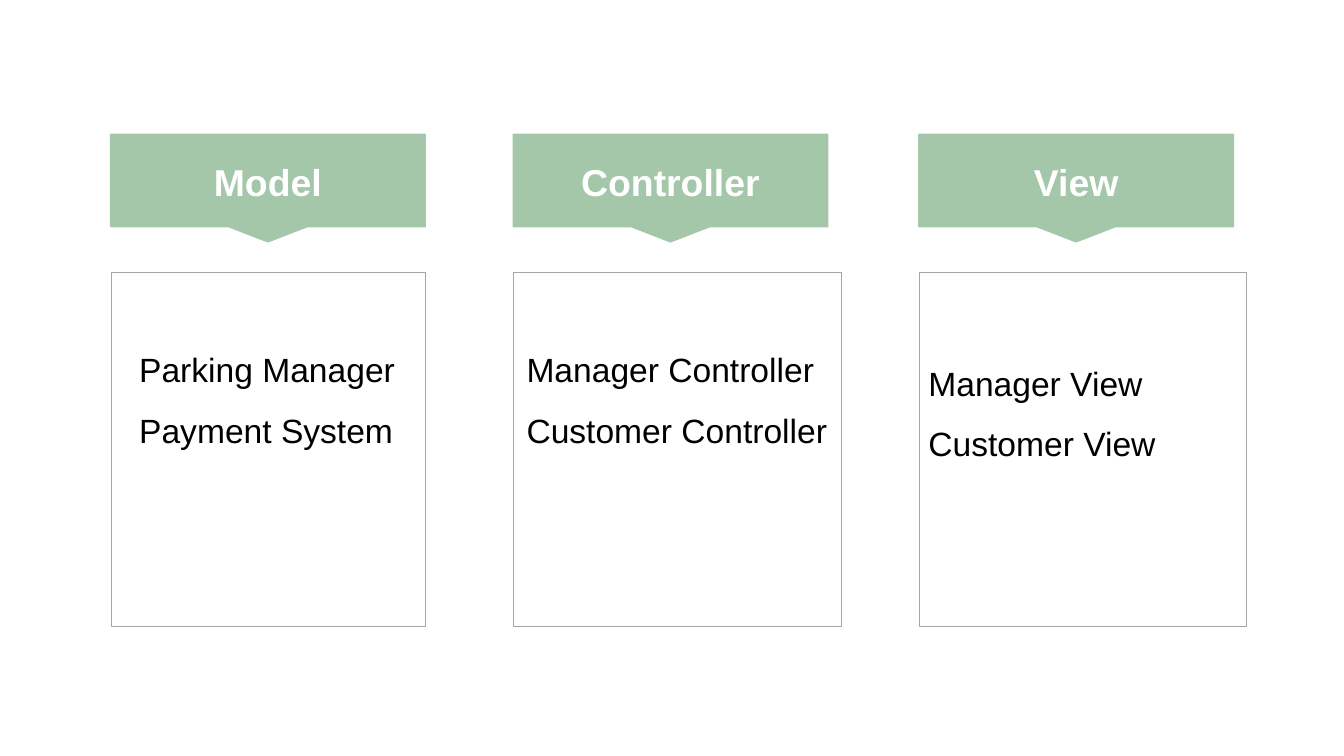
from dataclasses import dataclass

from pptx import Presentation
from pptx.dml.color import RGBColor
from pptx.enum.shapes import MSO_SHAPE
from pptx.enum.text import MSO_AUTO_SIZE, PP_ALIGN
from pptx.util import Pt

ARROW = MSO_SHAPE.DOWN_ARROW_CALLOUT
RECT = MSO_SHAPE.RECTANGLE
GROW = MSO_AUTO_SIZE.SHAPE_TO_FIT_TEXT
CENTER = PP_ALIGN.CENTER
JUSTIFY = PP_ALIGN.JUSTIFY


@dataclass(frozen=True)
class Theme:
    green: RGBColor = RGBColor(0xA5, 0xC7, 0xA9)
    gray: RGBColor = RGBColor(0xA6, 0xA6, 0xA6)
    white: RGBColor = RGBColor(0xFF, 0xFF, 0xFF)
    black: RGBColor = RGBColor(0, 0, 0)
    face: str = "Arial"
    head: int = 20
    body: int = 18


class Deck:
    def __init__(self, slide, theme):
        self.slide = slide
        self.theme = theme

    def shape(self, kind, box, line, width):
        item = self.slide.shapes.add_shape(kind, *map(Pt, box))
        item.shadow.inherit = False
        item.line.color.rgb = line
        item.line.width = Pt(width)
        return item

    def banner(self, box):
        green = self.theme.green
        item = self.shape(ARROW, box, green, 0.75)
        item.fill.solid()
        item.fill.fore_color.rgb = green
        for index, value in enumerate((0.727, 0.363, 0.14, 0.859)):
            item.adjustments[index] = value

    def frame(self, box):
        item = self.shape(RECT, box, self.theme.gray, 0.25)
        item.fill.background()
        item.rotation = 180

    def text(self, box, lines, wrap, layout, style):
        frame = self.slide.shapes.add_textbox(*map(Pt, box)).text_frame
        frame.word_wrap = wrap
        frame.auto_size = GROW
        frame.text = "\n".join(lines)
        for para in frame.paragraphs:
            for name, value in layout.items():
                setattr(para, name, value)
            font = para.runs[0].font
            font.name = self.theme.face
            font.color.rgb = style["color"]
            for name in ("size", "bold"):
                setattr(font, name, style[name])

    def label(self, box, word):
        style = {"size": Pt(self.theme.head), "bold": True, "color": self.theme.white}
        self.text(box, [word], False, {"alignment": CENTER}, style)

    def items(self, box, lines):
        layout = {"alignment": JUSTIFY, "line_spacing": 1.5}
        style = {"size": Pt(self.theme.body), "bold": False, "color": self.theme.black}
        self.text(box, lines, True, layout, style)


def main():
    show = Presentation()
    show.slide_width, show.slide_height = Pt(720), Pt(405)
    deck = Deck(show.slides.add_slide(show.slide_layouts[6]), Theme())
    width = 168.5
    columns = (
        (59.3, 168.5, "Model", 75, (67.5, 172.8, 156.2, 72.7),
         ("Parking Manager", "Payment System")),
        (275, 175.7, "Controller", 113, (275, 172.8, 181.4, 72.7),
         ("Manager Controller", "Customer Controller")),
        (492.3, 175.5, "View", 63, (490.3, 180, 180, 72.7),
         ("Manager View", "Customer View")),
    )
    for left, wide, word, span, area, lines in columns:
        deck.banner((left, 72, width, 57.6))
        deck.frame((left, 145.6, wide, 189.7))
        deck.label((left + (width - span) / 2, 81.7, span, 31.5), word)
        deck.items(area, lines)
    show.save("out.pptx")


if __name__ == "__main__":
    main()
